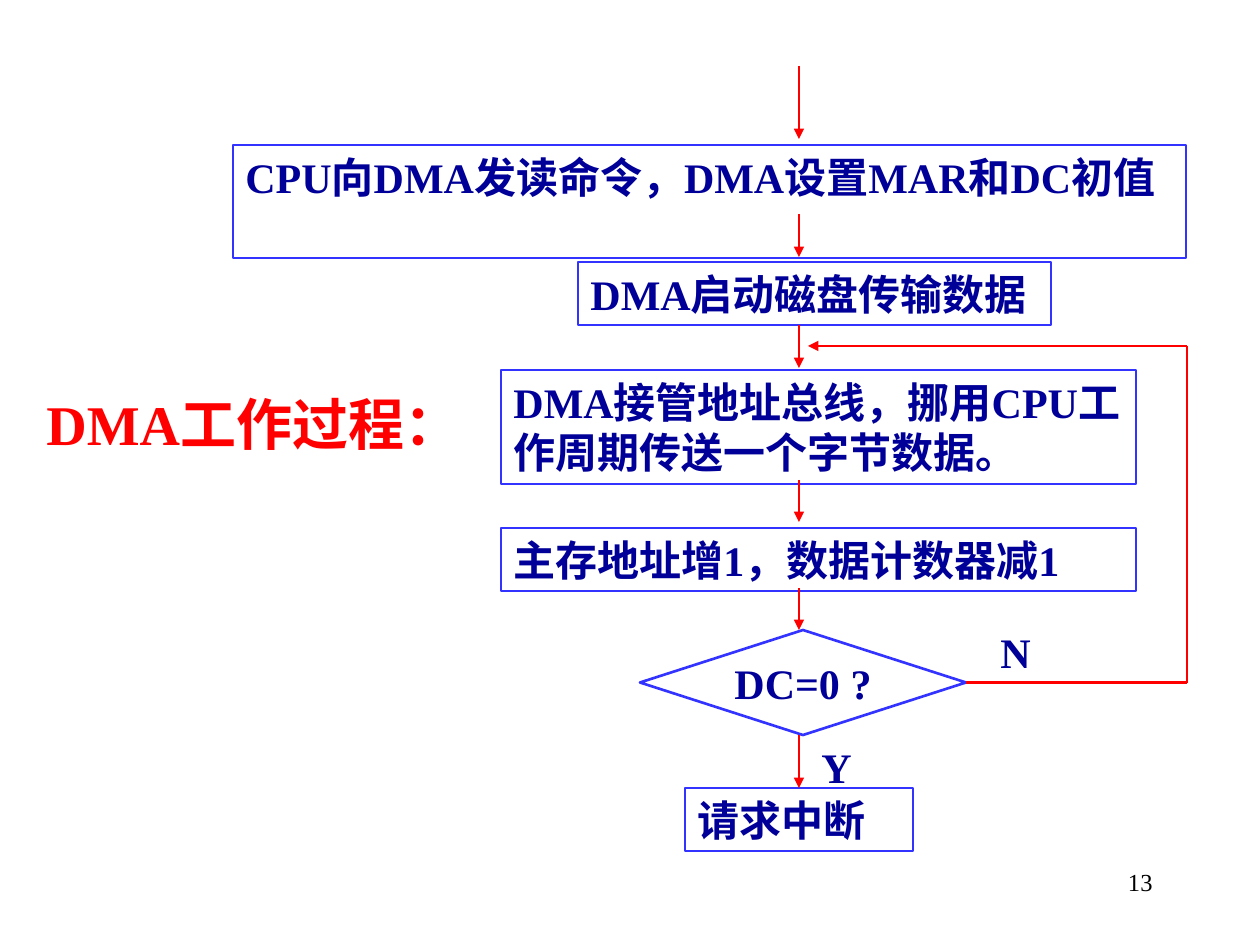
from pptx import Presentation
from pptx.dml.color import RGBColor
from pptx.enum.shapes import MSO_CONNECTOR, MSO_SHAPE
from pptx.enum.text import MSO_ANCHOR, MSO_AUTO_SIZE, PP_ALIGN
from pptx.oxml.ns import qn
from pptx.util import Pt
from lxml.etree import SubElement

EMU_PER_PX = 914400 / 126
FONT = "Times New Roman"
WHITE = RGBColor(0xFF, 0xFF, 0xFF)
BLACK = RGBColor(0x00, 0x00, 0x00)
RED = RGBColor(0xFF, 0x00, 0x00)
NAVY = RGBColor(0x00, 0x00, 0x99)
BLUE = RGBColor(0x33, 0x33, 0xFF)
LINE_WIDTH = Pt(1.5)

FLOW_X = 799       # axis of the downward arrows
LOOP_X = 1187      # right edge of the loop
LOOP_TOP = 346
DECISION_Y = 683


def px(*lengths):
    return [round(length * EMU_PER_PX) for length in lengths]


def write(shape, text, size=24, color=NAVY, bold=True, align=PP_ALIGN.LEFT,
          anchor=MSO_ANCHOR.TOP, wrap=True, grow=True):
    frame = shape.text_frame
    frame.word_wrap = wrap
    frame.auto_size = MSO_AUTO_SIZE.SHAPE_TO_FIT_TEXT if grow else MSO_AUTO_SIZE.NONE
    frame.vertical_anchor = anchor
    paragraph = frame.paragraphs[0]
    paragraph.alignment = align
    run = paragraph.add_run()
    run.text = text
    run.font.name = FONT
    run.font.size = Pt(size)
    run.font.bold = bold
    run.font.color.rgb = color


def add_label(slide, box, text, **text_format):
    write(slide.shapes.add_textbox(*px(*box)), text, **text_format)


def add_step(slide, box, text, kind=MSO_SHAPE.RECTANGLE, **text_format):
    step = slide.shapes.add_shape(kind, *px(*box))
    step.shadow.inherit = False
    step.fill.solid()
    step.fill.fore_color.rgb = WHITE
    step.line.color.rgb = BLUE
    step.line.width = LINE_WIDTH
    write(step, text, **text_format)
    return step


def add_line(slide, start, end, arrow=True):
    line = slide.shapes.add_connector(MSO_CONNECTOR.STRAIGHT, *px(*start, *end))
    line.line.color.rgb = RED
    line.line.width = LINE_WIDTH
    if arrow:
        SubElement(line.line._get_or_add_ln(), qn("a:tailEnd"), type="triangle")
    SubElement(line._element.spPr, qn("a:effectLst"))
    return line


def main():
    presentation = Presentation()
    presentation.slide_width, presentation.slide_height = px(1260, 945)
    slide = presentation.slides.add_slide(presentation.slide_layouts[6])

    # Page number and title
    add_label(slide, (903, 861, 262, 63), "13", size=14, color=BLACK,
              bold=False, align=PP_ALIGN.RIGHT, grow=False)
    add_label(slide, (34, 383, 486, 81), "DMA工作过程：", size=32, color=RED)

    # Steps of the flow
    add_step(slide, (233, 145, 953, 113), "CPU向DMA发读命令，DMA设置MAR和DC初值")
    add_step(slide, (578, 262, 473, 63), "DMA启动磁盘传输数据",
             wrap=False, grow=False)
    add_step(slide, (501, 370, 635, 114),
             "DMA接管地址总线，挪用CPU工作周期传送一个字节数据。")
    add_step(slide, (501, 528, 635, 63), "主存地址增1，数据计数器减1")
    decision = add_step(slide, (640, 630, 326, 105), "DC=0 ?",
                        kind=MSO_SHAPE.FLOWCHART_DECISION, align=PP_ALIGN.CENTER,
                        anchor=MSO_ANCHOR.MIDDLE, wrap=False, grow=False)
    interrupt = add_step(slide, (685, 788, 228, 63), "请求中断")

    # Downward arrows
    for top, bottom in ((66, 139), (214, 257), (325, 368), (480, 522), (588, 630)):
        add_line(slide, (FLOW_X, top), (FLOW_X, bottom))
    yes_arrow = add_line(slide, (FLOW_X, 735), (FLOW_X, 788))
    yes_arrow.end_connect(interrupt, 0)

    # Loop back while the counter is not zero
    add_line(slide, (LOOP_X, LOOP_TOP), (808, LOOP_TOP))
    no_line = add_line(slide, (966, DECISION_Y), (LOOP_X, DECISION_Y), arrow=False)
    no_line.begin_connect(decision, 3)
    no_line.end_y = no_line.begin_y
    add_line(slide, (LOOP_X, DECISION_Y), (LOOP_X, LOOP_TOP), arrow=False)

    # Branch labels
    add_label(slide, (988, 620, 55, 63), "N", wrap=False)
    add_label(slide, (809, 735, 55, 63), "Y", wrap=False)

    presentation.save("out.pptx")


if __name__ == "__main__":
    main()
